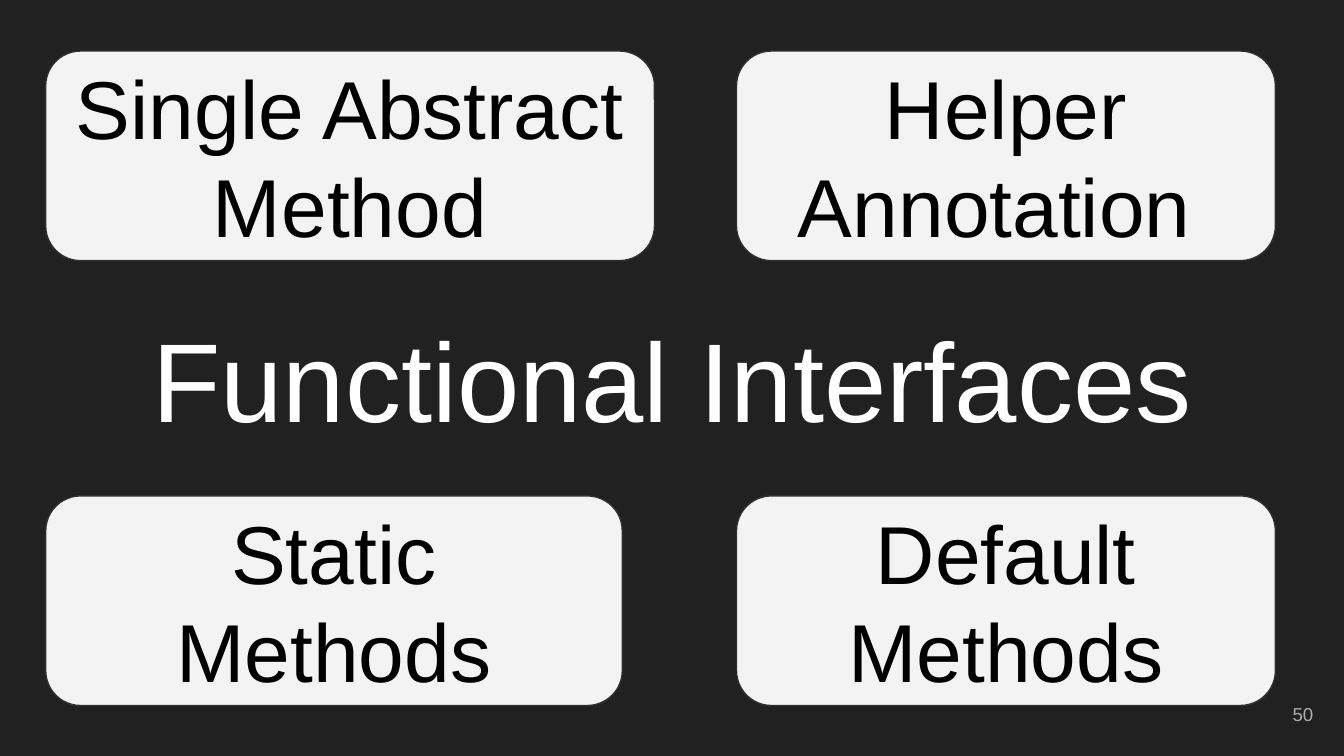
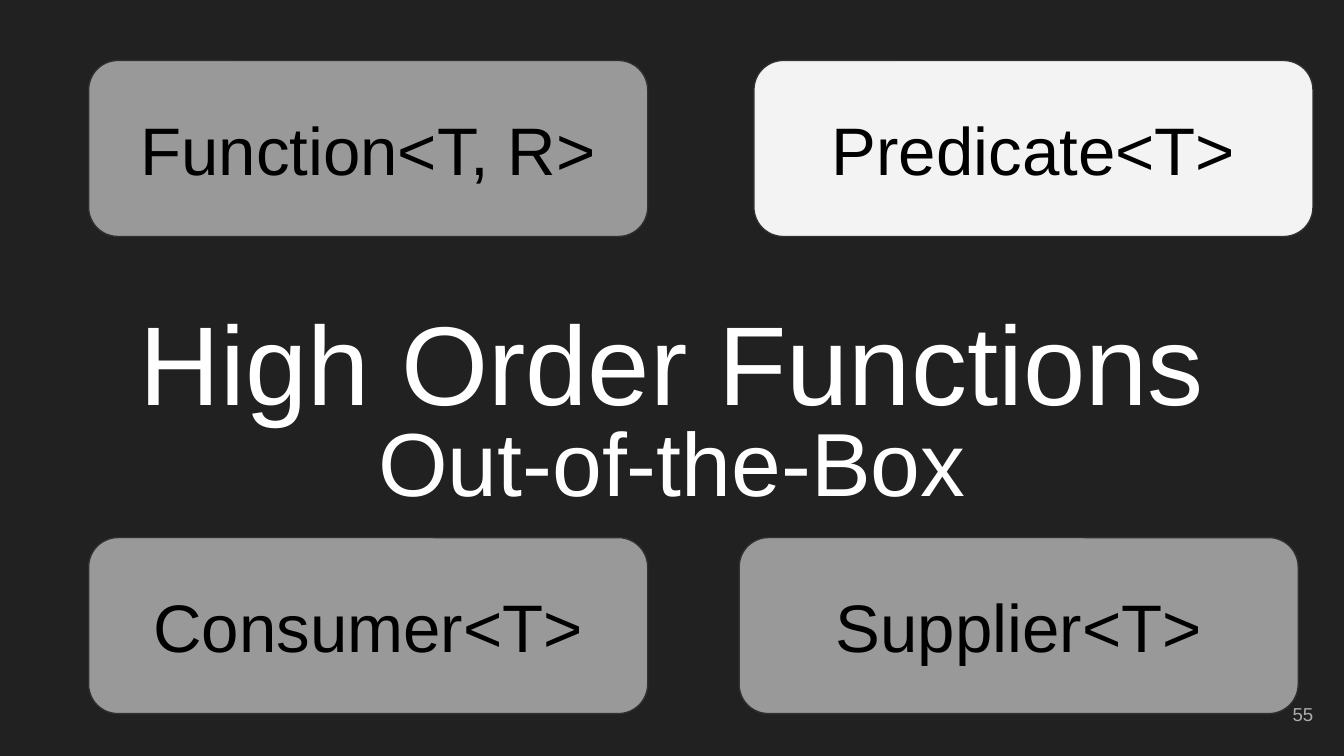
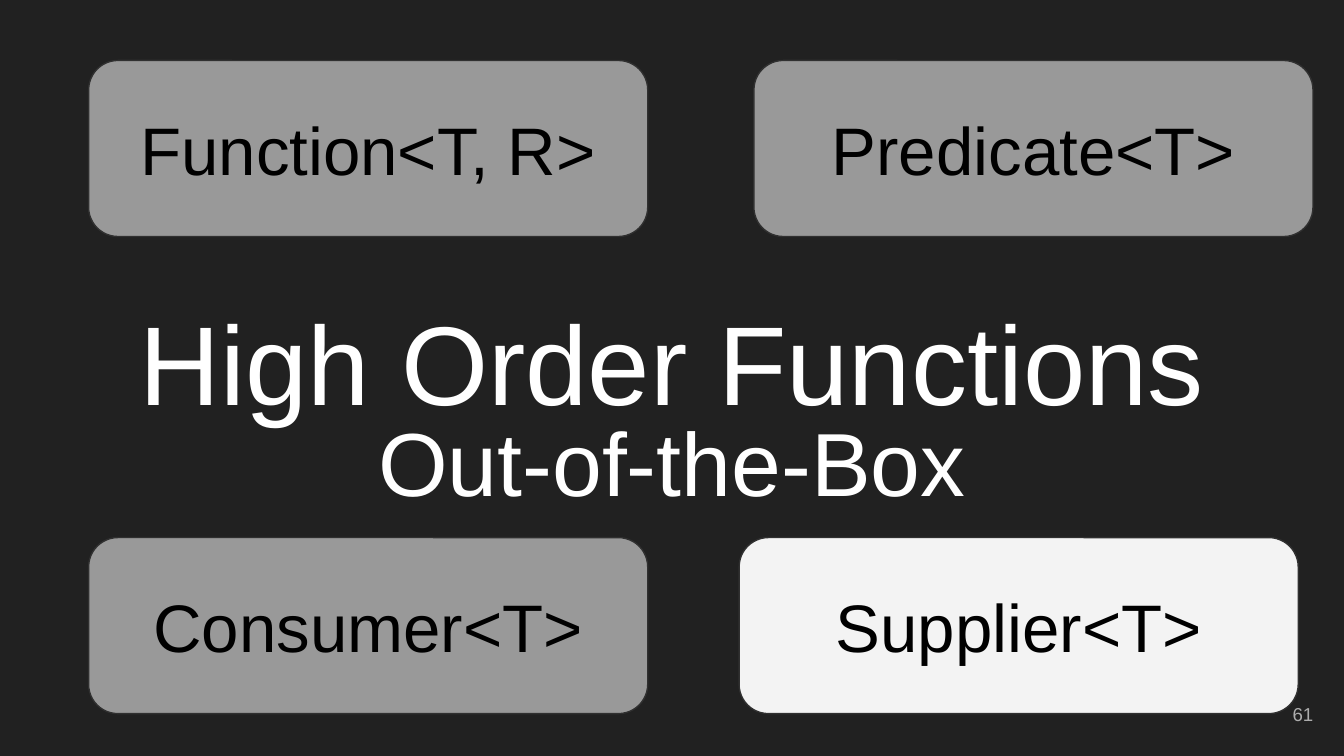
"""Builds three slides of cards around a central title."""
from dataclasses import dataclass

from pptx import Presentation
from pptx.dml.color import RGBColor
from pptx.enum.shapes import MSO_SHAPE
from pptx.enum.text import MSO_ANCHOR, PP_ALIGN
from pptx.util import Inches, Pt

ROUNDED = MSO_SHAPE.ROUNDED_RECTANGLE
MIDDLE = MSO_ANCHOR.MIDDLE
CENTER, RIGHT = PP_ALIGN.CENTER, PP_ALIGN.RIGHT


@dataclass(frozen=True)
class Theme:
    """Colours and type sizes shared by all slides."""
    font: str = "Arial"
    background: str = "212121"
    bright: str = "F3F3F3"
    dimmed: str = "999999"
    outline: str = "303030"
    ink: str = "000000"
    title: str = "FFFFFF"
    number: str = "ADADAD"
    title_size: int = 60
    subtitle_size: int = 48
    number_size: int = 10


THEME = Theme()
SLIDE_WIDTH = 10
SLIDE_HEIGHT = SLIDE_WIDTH * 9 / 16
MARGIN = 0.34
TITLE_WIDTH, TITLE_HEIGHT = SLIDE_WIDTH - 2 * MARGIN, 0.92
NUMBER_PLACE = (9.27, 5.1, 0.6, 0.43)

FEATURES = {
    "titles": [("Functional Interfaces", THEME.title_size, 2.35)],
    "card_size": 44,
    "card_height": 1.56,
    "rows": [
        (0.38, [("Single Abstract Method", 0.34, 4.53), ("Helper Annotation ", 5.48, 4.01)]),
        (3.69, [("Static Methods", 0.34, 4.29), ("Default Methods", 5.48, 4.01)]),
    ],
}
FUNCTIONS = {
    "titles": [
        ("High Order Functions", THEME.title_size, 2.22),
        ("Out-of-the-Box", THEME.subtitle_size, 2.97),
    ],
    "card_size": 36,
    "card_height": 1.31,
    "rows": [
        (0.45, [("Function<T, R>", 0.66, 4.16), ("Predicate<T>", 5.61, 4.16)]),
        (4, [("Consumer<T>", 0.66, 4.16), ("Supplier<T>", 5.5, 4.16)]),
    ],
}
SLIDES = [
    ("50", FEATURES, None),
    ("55", FUNCTIONS, "Predicate<T>"),
    ("61", FUNCTIONS, "Supplier<T>"),
]


def color(value):
    return RGBColor.from_string(value)


def write(box, text, size, ink, align=CENTER):
    frame = box.text_frame
    frame.word_wrap = True
    frame.vertical_anchor = MIDDLE
    frame.margin_left = frame.margin_right = Inches(0.1)
    frame.margin_top = frame.margin_bottom = Inches(0.1)
    frame.text = text
    para = frame.paragraphs[0]
    para.alignment = align
    for span in para.runs:
        span.font.name = THEME.font
        span.font.size = Pt(size)
        span.font.color.rgb = color(ink)


def add_text(page, place, text, size, ink, align=CENTER):
    box = page.shapes.add_textbox(*map(Inches, place))
    write(box, text, size, ink, align)


def add_card(page, place, text, size, fill):
    card = page.shapes.add_shape(ROUNDED, *map(Inches, place))
    card.shadow.inherit = False
    card.fill.solid()
    card.fill.fore_color.rgb = color(fill)
    card.line.color.rgb = color(THEME.outline)
    card.line.width = Pt(0.75)
    write(card, text, size, THEME.ink)


def add_page(deck, number, topic, highlight):
    page = deck.slides.add_slide(deck.slide_layouts[6])
    page.background.fill.solid()
    page.background.fill.fore_color.rgb = color(THEME.background)
    for text, size, top in topic["titles"]:
        add_text(page, (MARGIN, top, TITLE_WIDTH, TITLE_HEIGHT), text, size, THEME.title)
    for top, cards in topic["rows"]:
        for text, left, width in cards:
            fill = THEME.bright if highlight in (None, text) else THEME.dimmed
            add_card(page, (left, top, width, topic["card_height"]), text, topic["card_size"], fill)
    add_text(page, NUMBER_PLACE, number, THEME.number_size, THEME.number, RIGHT)


def main():
    deck = Presentation()
    deck.slide_width = Inches(SLIDE_WIDTH)
    deck.slide_height = Inches(SLIDE_HEIGHT)
    for number, topic, highlight in SLIDES:
        add_page(deck, number, topic, highlight)
    deck.save("out.pptx")


if __name__ == "__main__":
    main()
